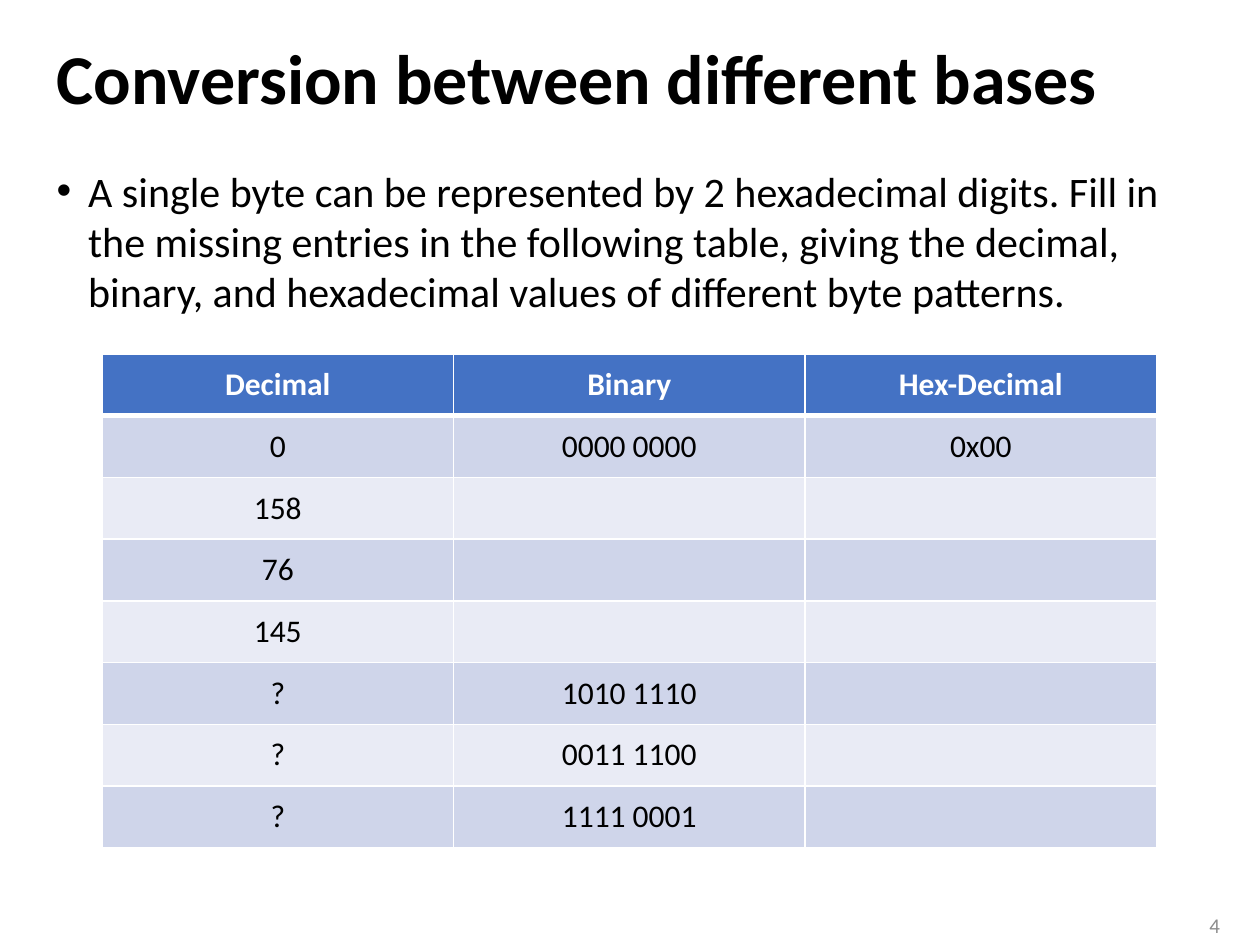
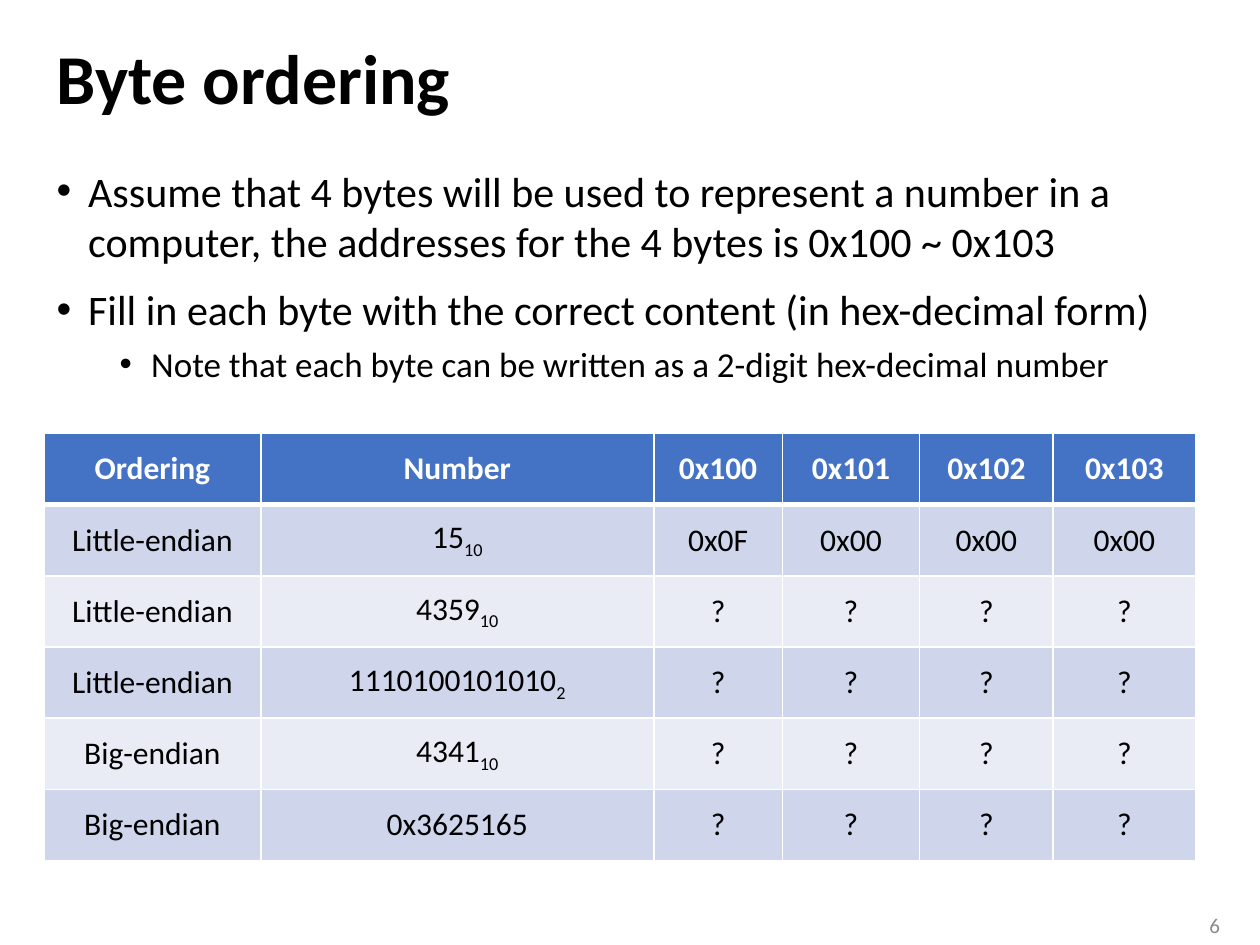
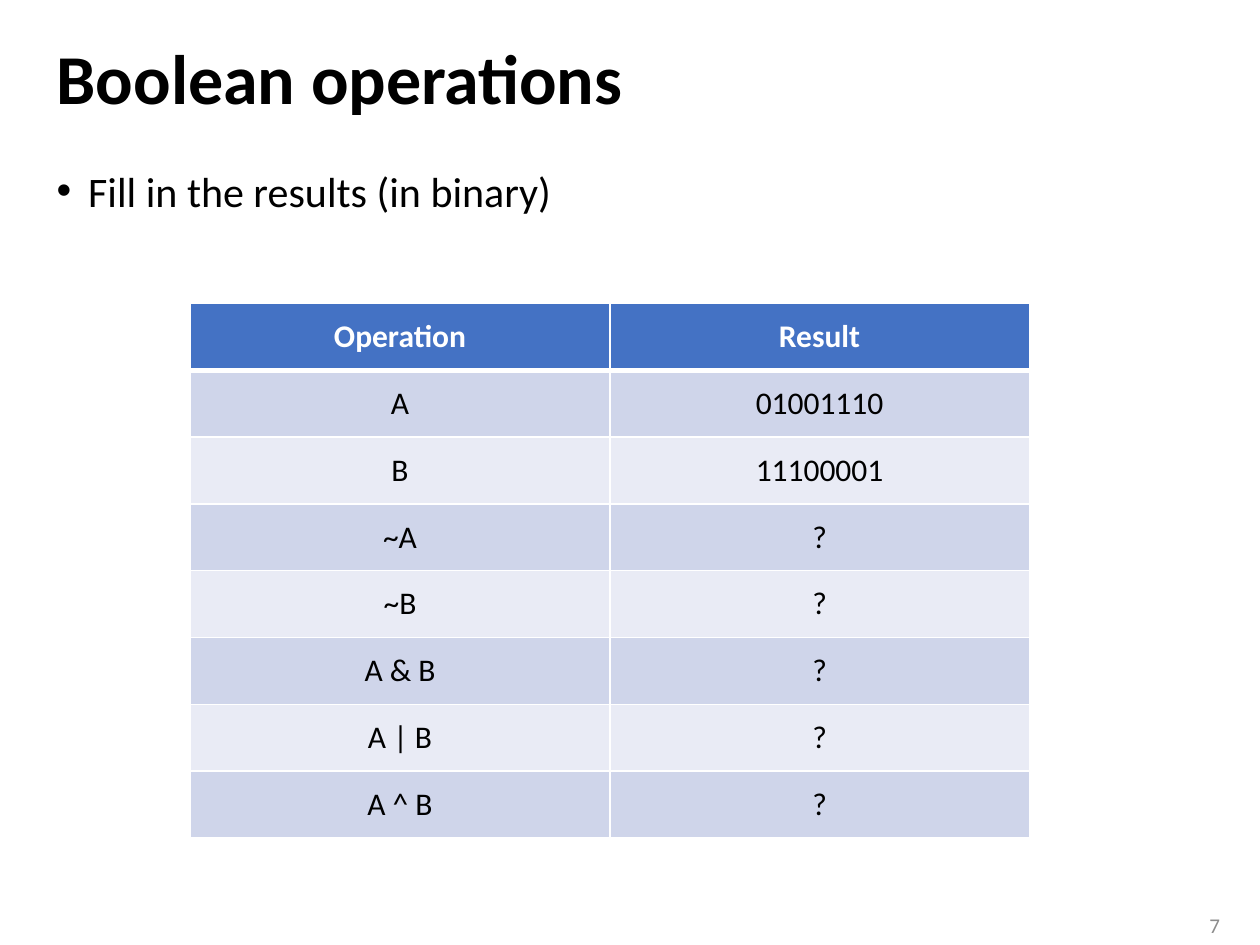
from lxml import etree
from pptx import Presentation
from pptx.dml.color import RGBColor
from pptx.enum.text import MSO_ANCHOR, MSO_AUTO_SIZE, PP_ALIGN
from pptx.oxml.ns import qn
from pptx.util import Inches, Pt

LEFT, CENTER, RIGHT = PP_ALIGN.LEFT, PP_ALIGN.CENTER, PP_ALIGN.RIGHT
MIDDLE, TOP = MSO_ANCHOR.MIDDLE, MSO_ANCHOR.TOP
NO_FIT = MSO_AUTO_SIZE.NONE

FONT = "Calibri"
COLORS = {
    "text": "000000",
    "number": "8C8C8C",
    "header": "4472C4",
    "header_text": "FFFFFF",
    "border": "FFFFFF",
    "band_dark": "CFD5EA",
    "band_light": "E9EBF5",
}
# Per list level: text size, space before, left indent
LEVELS = [(24, 10, 0.25), (20, 5, 0.75)]
HANGING = 0.25


def place(sp, left, top, width, height):
    sp.left, sp.top = Inches(left), Inches(top)
    sp.width, sp.height = Inches(width), Inches(height)


def format_runs(p, size, color="text", bold=False):
    for r in p.runs:
        r.font.name = FONT
        r.font.size = Pt(size)
        r.font.bold = bold
        r.font.color.rgb = RGBColor.from_string(COLORS[color])


def set_bullet(p, indent):
    pPr = p._p.get_or_add_pPr()
    pPr.set("marL", str(Inches(indent)))
    pPr.set("indent", str(-Inches(HANGING)))
    etree.SubElement(pPr, qn("a:buFont"), typeface="Arial")
    etree.SubElement(pPr, qn("a:buChar"), char="•")


def add_title(slide, text):
    sp = slide.shapes.title
    place(sp, 0.35, 0.19, 9.29, 0.92)
    tf = sp.text_frame
    tf.text = text
    tf.auto_size = NO_FIT
    tf.vertical_anchor = MIDDLE
    p = tf.paragraphs[0]
    p.alignment = LEFT
    p.line_spacing = 0.9
    format_runs(p, 40, bold=True)


def add_bullets(slide, items):
    """Fill the body placeholder with (level, text) items."""
    sp = slide.placeholders[1]
    place(sp, 0.35, 1.26, 9.29, 5.83)
    tf = sp.text_frame
    tf.text = "\n".join(text for _, text in items)
    tf.auto_size = NO_FIT
    tf.vertical_anchor = TOP
    for p, (level, _) in zip(tf.paragraphs, items):
        size, space, indent = LEVELS[level]
        p.level = level
        p.alignment = LEFT
        p.space_before = Pt(space)
        set_bullet(p, indent)
        format_runs(p, size)


def add_slide_number(slide, number):
    sp = slide.shapes.add_textbox(
        Inches(9.27), Inches(7.19), Inches(0.51), Inches(0.31))
    tf = sp.text_frame
    tf.word_wrap = True
    tf.vertical_anchor = MIDDLE
    tf.text = str(number)
    p = tf.paragraphs[0]
    p.alignment = RIGHT
    format_runs(p, 12, "number")


def set_borders(cell, top, bottom):
    tcPr = cell._tc.get_or_add_tcPr()
    for side, width in (("L", 1), ("R", 1), ("T", top), ("B", bottom)):
        ln = etree.SubElement(tcPr, qn("a:ln" + side), w=str(Pt(width)))
        fill = etree.SubElement(ln, qn("a:solidFill"))
        etree.SubElement(fill, qn("a:srgbClr"), val=COLORS["border"])


def fill_cell(cell, value, row):
    """Write a text, or a (number, base) pair with the base as subscript."""
    number, base = value if isinstance(value, tuple) else (value, "")
    cell.vertical_anchor = MIDDLE
    cell.text = number
    p = cell.text_frame.paragraphs[0]
    p.alignment = CENTER
    if base:
        r = p.add_run()
        r.text = base
        r._r.get_or_add_rPr().set("baseline", "-25000")

    set_borders(cell, top=3 if row == 1 else 1, bottom=3 if row == 0 else 1)
    if row == 0:
        fill, color = "header", "header_text"
    else:
        fill, color = ("band_dark" if row % 2 else "band_light"), "text"
    cell.fill.solid()
    cell.fill.fore_color.rgb = RGBColor.from_string(COLORS[fill])
    format_runs(p, 18, color, bold=row == 0)


def add_grid(slide, left, top, col_widths, row_height, rows):
    table = slide.shapes.add_table(
        len(rows), len(col_widths), Inches(left), Inches(top),
        Inches(sum(col_widths)), Inches(row_height * len(rows))).table
    for col, width in zip(table.columns, col_widths):
        col.width = Inches(width)
    for i, values in enumerate(rows):
        table.rows[i].height = Inches(row_height)
        for j, value in enumerate(values):
            fill_cell(table.cell(i, j), value, i)


def add_exercise(prs, number, title, bullets, **grid):
    slide = prs.slides.add_slide(prs.slide_layouts[1])
    add_title(slide, title)
    add_bullets(slide, bullets)
    add_slide_number(slide, number)
    add_grid(slide, **grid)


def main():
    prs = Presentation()
    prs.slide_width, prs.slide_height = Inches(10), Inches(7.5)

    add_exercise(
        prs, 4, "Conversion between different bases",
        [(0, "A single byte can be represented by 2 hexadecimal digits. "
             "Fill in the missing entries in the following table, giving the "
             "decimal, binary, and hexadecimal values of different byte "
             "patterns.")],
        left=0.81, top=2.81, col_widths=[2.79] * 3, row_height=0.49,
        rows=[
            ("Decimal", "Binary", "Hex-Decimal"),
            ("0", "0000 0000", "0x00"),
            ("158", "", ""),
            ("76", "", ""),
            ("145", "", ""),
            ("?", "1010 1110", ""),
            ("?", "0011 1100", ""),
            ("?", "1111 0001", ""),
        ])

    unknown = ["?"] * 4
    add_exercise(
        prs, 6, "Byte ordering",
        [(0, "Assume that 4 bytes will be used to represent a number in a "
             "computer, the addresses for the 4 bytes is 0x100 ~ 0x103"),
         (0, "Fill in each byte with the correct content "
             "(in hex-decimal form)"),
         (1, "Note that each byte can be written as a 2-digit hex-decimal "
             "number")],
        left=0.35, top=3.44, row_height=0.565,
        col_widths=[1.72, 3.12, 1.02, 1.09, 1.06, 1.13],
        rows=[
            ("Ordering", "Number", "0x100", "0x101", "0x102", "0x103"),
            ("Little-endian", ("15", "10"), "0x0F", "0x00", "0x00", "0x00"),
            ("Little-endian", ("4359", "10"), *unknown),
            ("Little-endian", ("1110100101010", "2"), *unknown),
            ("Big-endian", ("4341", "10"), *unknown),
            ("Big-endian", "0x3625165", *unknown),
        ])

    operations = ["~A", "~B", "A & B", "A | B", "A ^ B"]
    add_exercise(
        prs, 7, "Boolean operations",
        [(0, "Fill in the results (in binary)")],
        left=1.51, top=2.41, col_widths=[3.33] * 2, row_height=0.53,
        rows=[
            ("Operation", "Result"),
            ("A", "01001110"),
            ("B", "11100001"),
            *((operation, "?") for operation in operations),
        ])

    prs.save("out.pptx")


if __name__ == "__main__":
    main()
